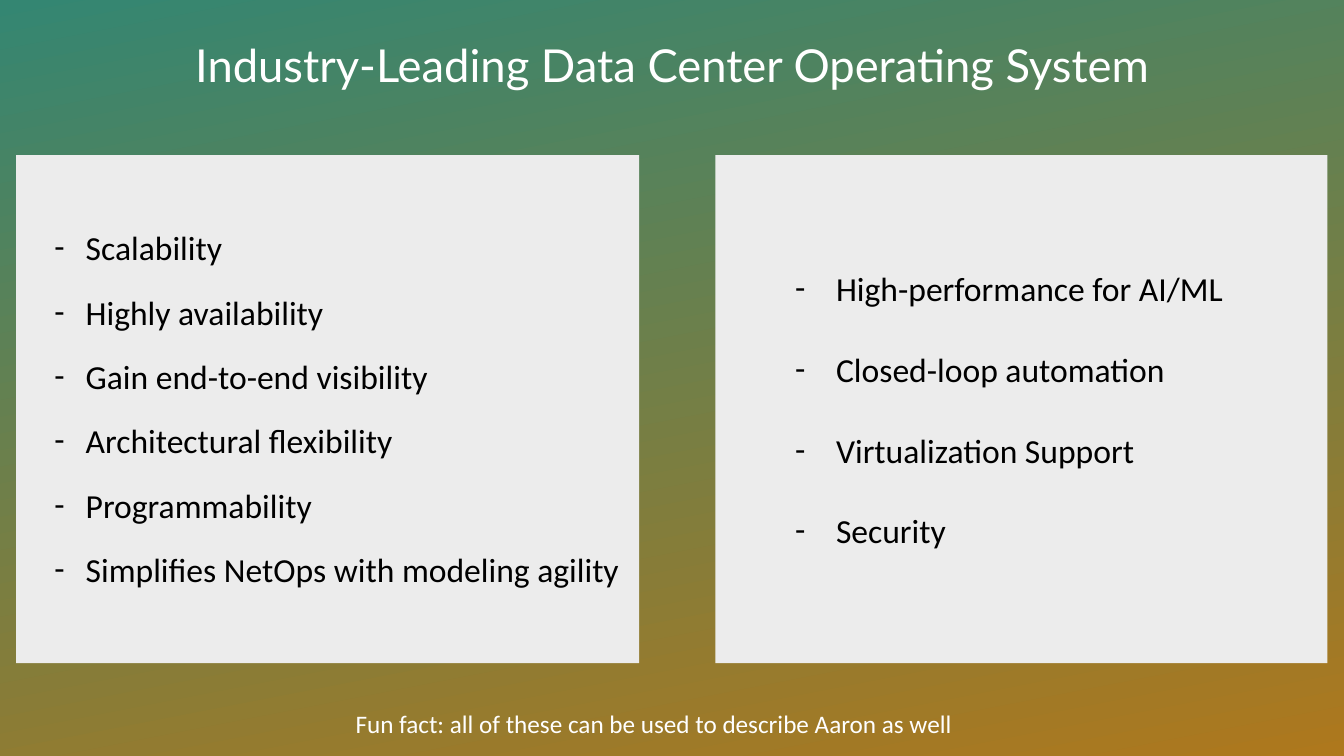
"""Build the slide on the strengths of a data center operating system."""
from lxml.etree import SubElement
from pptx import Presentation
from pptx.dml.color import RGBColor
from pptx.enum.shapes import MSO_SHAPE
from pptx.enum.text import MSO_ANCHOR, MSO_AUTO_SIZE, PP_ALIGN
from pptx.oxml.ns import qn
from pptx.util import Cm, Pt

COLORS = {
    "teal": "348672",
    "orange": "AE781D",
    "panel": "ECECEC",
    "black": "000000",
    "white": "FFFFFF",
}
TITLE_FONT = {"name": "Lato", "size": Pt(32.4), "bold": False}
LIST_FONT = {"name": "Calibri", "size": Pt(24)}
NOTE_FONT = {"name": "Calibri", "size": Pt(18)}
OPERATIONS = [
    "Scalability",
    "Highly availability",
    "Gain end-to-end visibility",
    "Architectural flexibility",
    "Programmability",
    "Simplifies NetOps with modeling agility",
]
CAPABILITIES = [
    "High-performance for AI/ML",
    "Closed-loop automation",
    "Virtualization Support",
    "Security",
]


def color(name):
    return RGBColor.from_string(COLORS[name])


def set_attributes(target, values):
    for name, value in values.items():
        setattr(target, name, value)


def place(shape, left, top, width, height):
    values = {"left": left, "top": top, "width": width, "height": height}
    set_attributes(shape, {name: Cm(value) for name, value in values.items()})


def format_font(paragraph, values, color_name):
    set_attributes(paragraph.font, values)
    paragraph.font.color.rgb = color(color_name)


def set_background(slide):
    fill = slide.background.fill
    fill.gradient()
    fill.gradient_angle = 281
    for stop, name in zip(fill.gradient_stops, ("teal", "orange")):
        stop.color.rgb = color(name)
    for stop, position in zip(fill.gradient_stops, (0, 1)):
        stop.position = position


def set_title(slide, text):
    title = slide.shapes.title
    place(title, 2.87, -1.09, 28.14, 4.04)
    set_attributes(title.text_frame, {
        "text": text,
        "auto_size": MSO_AUTO_SIZE.NONE,
        "vertical_anchor": MSO_ANCHOR.MIDDLE,
        "margin_top": Cm(1.52),
    })
    paragraph = title.text_frame.paragraphs[0]
    paragraph.alignment = PP_ALIGN.CENTER
    format_font(paragraph, TITLE_FONT, "white")


def add_panel(slide, left, width):
    panel = slide.shapes.add_shape(
        MSO_SHAPE.RECTANGLE, Cm(left), Cm(3.91), Cm(width), Cm(12.8))
    panel.shadow.inherit = False
    panel.fill.solid()
    panel.fill.fore_color.rgb = color("panel")
    panel.line.fill.background()


def add_text_frame(slide, bounds):
    box = slide.shapes.add_textbox(*map(Cm, bounds))
    box.text_frame.word_wrap = True
    return box.text_frame


def add_dash_bullet(paragraph, indent):
    properties = paragraph._p.get_or_add_pPr()
    properties.set("marL", str(Cm(indent)))
    properties.set("indent", str(-Cm(indent)))
    SubElement(properties, qn("a:buFont"), typeface="Calibri")
    SubElement(properties, qn("a:buChar"), char="-")


def add_dash_list(slide, bounds, items, indent, gap, bottom=0.13):
    frame = add_text_frame(slide, bounds)
    set_attributes(frame, {
        "vertical_anchor": MSO_ANCHOR.MIDDLE,
        "margin_bottom": Cm(bottom),
    })
    for index, item in enumerate(items):
        paragraph = frame.add_paragraph() if index else frame.paragraphs[0]
        paragraph.text = item
        add_dash_bullet(paragraph, indent)
        if index:
            paragraph.space_before = Pt(gap)
        format_font(paragraph, LIST_FONT, "black")


def add_note(slide, bounds, text):
    paragraph = add_text_frame(slide, bounds).paragraphs[0]
    paragraph.text = text
    format_font(paragraph, NOTE_FONT, "white")


def main():
    presentation = Presentation()
    set_attributes(presentation, {
        "slide_width": Cm(33.87),
        "slide_height": Cm(19.05),
    })
    slide = presentation.slides.add_slide(presentation.slide_layouts[5])
    set_background(slide)
    set_title(slide, "Industry-Leading Data Center Operating System")
    add_panel(slide, 0.41, 15.7)
    add_panel(slide, 18.03, 15.42)
    add_dash_list(slide, (1.12, 5.16, 16.05, 11.58), OPERATIONS,
                  indent=0.79, gap=17.2, bottom=1.45)
    add_dash_list(slide, (19.79, 6.6, 13.67, 7.44), CAPABILITIES,
                  indent=1.03, gap=28.8)
    add_note(slide, (8.71, 17.73, 16.92, 1.02),
             "Fun fact: all of these can be used to describe Aaron as well")
    presentation.save("out.pptx")


if __name__ == "__main__":
    main()
